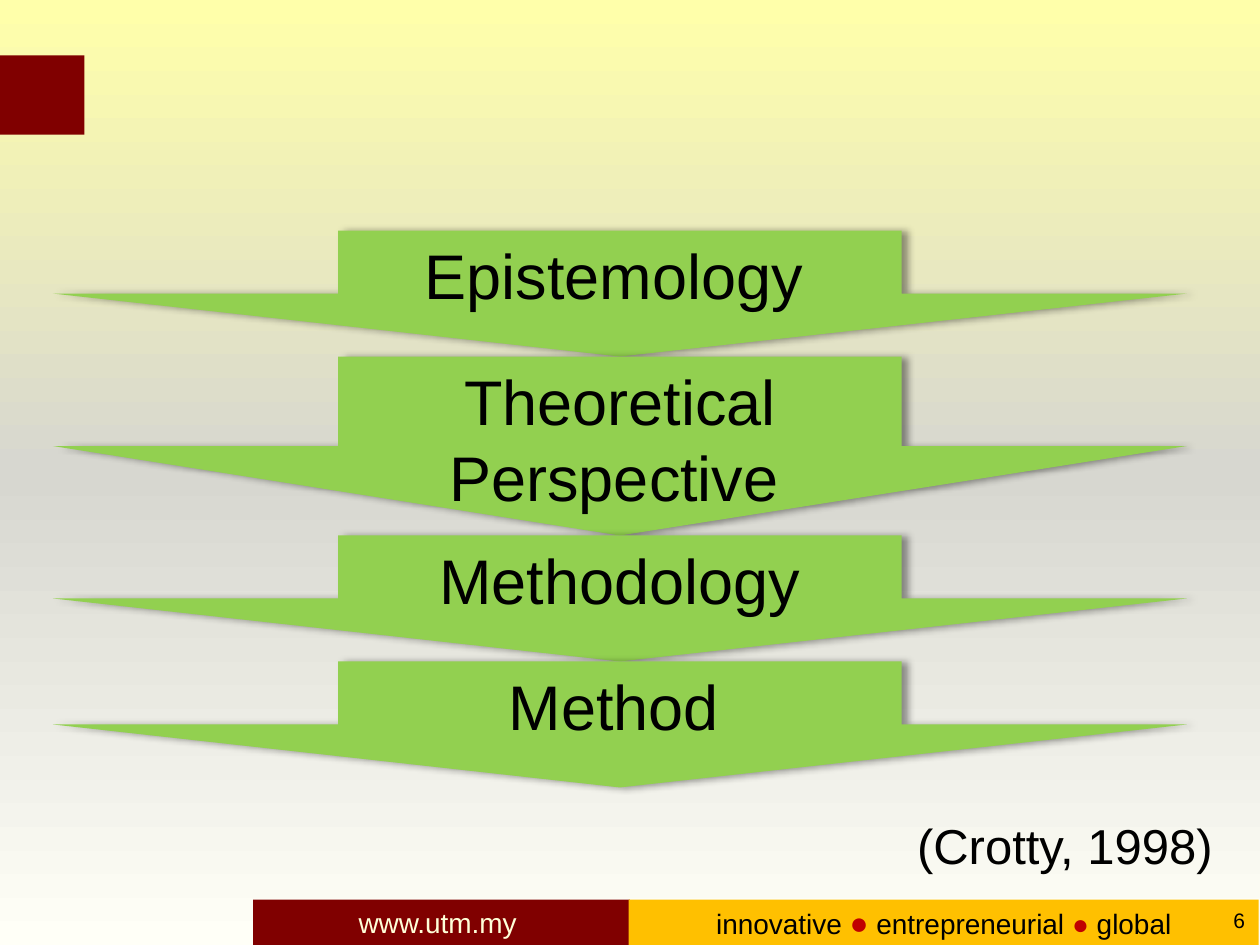
import copy

import pptx
import pptx.util
import pptx.dml.color
import pptx.enum.shapes
import pptx.enum.text
import pptx.oxml
import pptx.oxml.ns

Inches = pptx.util.Inches
SHAPE = pptx.enum.shapes.MSO_SHAPE
ALIGN = pptx.enum.text.PP_ALIGN
ANCHOR = pptx.enum.text.MSO_ANCHOR
COLORS = {
    "black": "000000", "maroon": "800000", "amber": "FFC000", "red": "C00000",
    "cream": "FFFFD9", "green": "92D050",
    "sky": "FFFFAA", "mist": "D7D7D0", "ground": "FFFFF7",
}
SHADOW = (
    f'<a:effectLst {pptx.oxml.ns.nsdecls("a")}>'
    '<a:outerShdw blurRad="50800" dist="38100" dir="0" algn="l" rotWithShape="0">'
    '<a:srgbClr val="000000"><a:alpha val="40000"/></a:srgbClr>'
    '</a:outerShdw></a:effectLst>'
)


def rgb(name):
    return pptx.dml.color.RGBColor.from_string(COLORS[name])


def add_run(p, text, size=16, color="black", font="Arial"):
    r = p.add_run()
    r.text = text
    r.font.size = pptx.util.Pt(size)
    r.font.name = font
    r.font.color.rgb = rgb(color)


class Deck:
    def __init__(self, width, height):
        self.prs = pptx.Presentation()
        self.prs.slide_width = Inches(width)
        self.prs.slide_height = Inches(height)
        self.s = self.prs.slides.add_slide(self.prs.slide_layouts[6])

    def background(self, *stops):
        """Vertical gradient through three (position, color) stops."""
        fill = self.s.background.fill
        fill.gradient()
        fill.gradient_angle = 270
        gs_list = self.s.element.find(".//" + pptx.oxml.ns.qn("a:gsLst"))
        gs_list.append(copy.deepcopy(gs_list[-1]))
        for stop, (position, color) in zip(fill.gradient_stops, stops):
            stop.position = position
            stop.color.rgb = rgb(color)

    def set_text(self, sp, runs, align=ALIGN.CENTER, anchor=ANCHOR.MIDDLE, wrap=True):
        """Fill a shape with one paragraph of (text, format) runs."""
        tf = sp.text_frame
        tf.word_wrap = wrap
        tf.vertical_anchor = anchor
        p = tf.paragraphs[0]
        p.alignment = align
        for text, style in runs:
            add_run(p, text, **style)

    def shape(self, box, color, kind=SHAPE.RECTANGLE):
        sp = self.s.shapes.add_shape(kind, *map(Inches, box))
        sp.fill.solid()
        sp.fill.fore_color.rgb = rgb(color)
        sp.line.fill.background()
        sp.shadow.inherit = False
        return sp

    def bar(self, box, color, runs=()):
        sp = self.shape(box, color)
        if runs:
            self.set_text(sp, runs)

    def arrow(self, box, runs):
        sp = self.shape(box, "green", SHAPE.DOWN_ARROW)
        sp.adjustments[0] = 0.497
        sp.adjustments[1] = 0.5
        effects = sp.element.spPr.find(pptx.oxml.ns.qn("a:effectLst"))
        effects.getparent().replace(effects, pptx.oxml.parse_xml(SHADOW))
        self.set_text(sp, runs, anchor=ANCHOR.TOP)

    def text(self, box, runs, **layout):
        sp = self.s.shapes.add_textbox(*map(Inches, box))
        self.set_text(sp, runs, align=ALIGN.RIGHT, **layout)


def main():
    deck = Deck(10, 7.5)
    deck.background((0, "sky"), (0.5, "mist"), (1, "ground"))

    deck.bar((2.01, 7.14, 2.99, 0.36), "maroon", [("www.utm.my ", {"color": "cream"})])
    deck.bar((4.99, 7.14, 5, 0.36), "amber", [
        ("innovative ", {}),
        ("●", {"size": 18, "color": "red"}),
        (" entrepreneurial ", {}),
        ("● ", {"color": "red"}),
        ("global", {}),
    ])
    deck.text((9.33, 7.1, 0.65, 0.4), [("6", {"size": 12})])
    deck.bar((0, 0.44, 0.67, 0.63), "maroon")

    top = 1.83
    for label, height, tail in (
        ("Epistemology", 1, " "),
        ("Theoretical Perspective", 1.42, " "),
        ("Methodology", 1, ""),
        ("Method", 1, " "),
    ):
        runs = [(label, {"size": 36})]
        if tail:
            runs.append((tail, {"size": 24}))
        deck.arrow((0.42, top, 9, height), runs)
        top += height

    deck.text((7.14, 6.42, 2.69, 0.57), [("(Crotty, 1998) ", {"size": 28})],
              anchor=ANCHOR.TOP, wrap=False)
    deck.prs.save("out.pptx")


if __name__ == "__main__":
    main()
